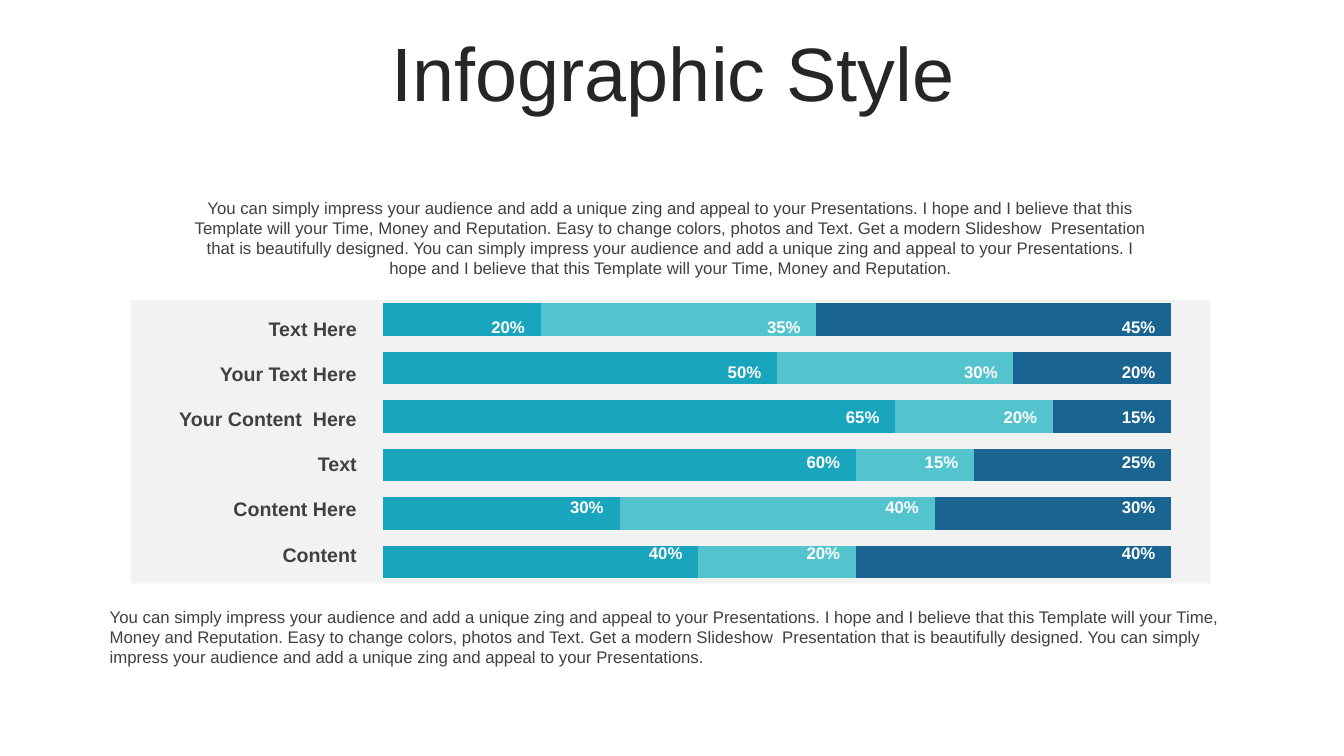
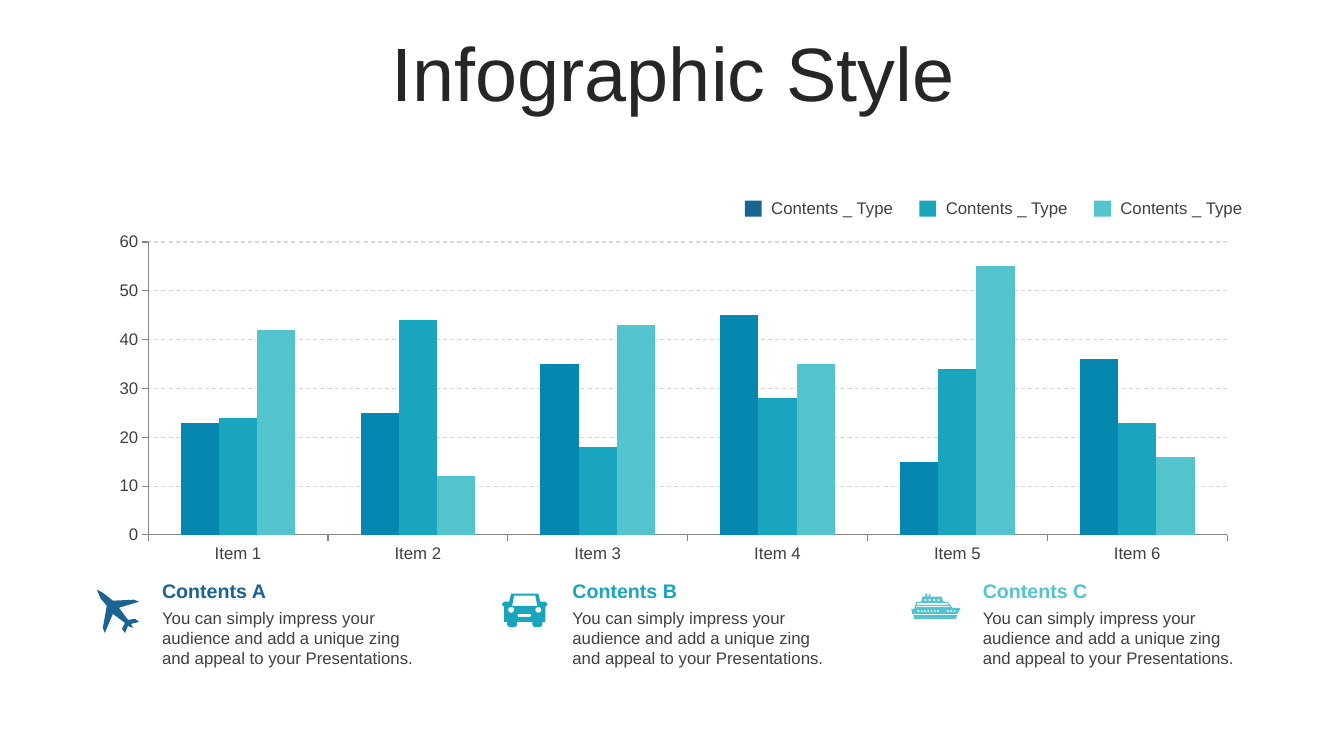
from itertools import accumulate
from math import cos, pi, sin

from lxml.etree import SubElement
from pptx import Presentation
from pptx.chart.data import CategoryChartData
from pptx.dml.color import RGBColor
from pptx.enum.chart import XL_CHART_TYPE, XL_TICK_MARK
from pptx.enum.dml import MSO_LINE
from pptx.enum.shapes import MSO_SHAPE
from pptx.enum.text import MSO_ANCHOR, MSO_AUTO_SIZE, PP_ALIGN
from pptx.oxml.ns import qn
from pptx.util import Pt

NAVY = RGBColor(0x19, 0x64, 0x91)
BLUE = RGBColor(0x05, 0x87, 0xAF)
TEAL = RGBColor(0x19, 0xA5, 0xBE)
AQUA = RGBColor(0x53, 0xC3, 0xCD)
INK = RGBColor(0x26, 0x26, 0x26)
TEXT = RGBColor(0x40, 0x40, 0x40)
AXIS = RGBColor(0x86, 0x86, 0x86)
GRID = RGBColor(0xD9, 0xD9, 0xD9)
PANEL = RGBColor(0xF2, 0xF2, 0xF2)
WHITE = RGBColor(0xFF, 0xFF, 0xFF)
FONT = "Arial"
ICON_UNIT = 0.72

IMPRESS = ("You can simply impress your audience and add a unique zing "
           "and appeal to your Presentations.")
HOPE = ("I hope and I believe that this Template will your Time, "
        "Money and Reputation.")
PITCH = (f"{IMPRESS} {HOPE} Easy to change colors, photos and Text. Get a modern "
         f"Slideshow  Presentation that is beautifully designed. {IMPRESS}")

SHARE_ROWS = [
    ("Text Here", (20, 35, 45)),
    ("Your Text Here", (50, 30, 20)),
    ("Your Content  Here", (65, 20, 15)),
    ("Text", (60, 15, 25)),
    ("Content Here", (30, 40, 30)),
    ("Content", (40, 20, 40)),
]
ITEM_SERIES = [
    (23, 25, 35, 45, 15, 36),
    (24, 44, 18, 28, 34, 23),
    (42, 12, 43, 35, 55, 16),
]

PLANE = [[(42, 32), (34, 34), (36, 38), (31, 36), (28, 43), (25, 39), (28, 33),
          (16, 24), (8, 43), (6, 38), (10, 16), (4, 9), (0, 0), (6, 3), (16, 11),
          (37, 10), (42, 12), (22, 18), (31, 30), (38, 29)]]
CAR_HALF = [(9, 0), (7, 8), (2, 8), (0, 10), (0, 11), (2, 13), (2, 28), (5, 28),
            (5, 31), (7, 33), (13, 33), (15, 31), (15, 28)]
SHIP_BODY = [(18, 0), (19, 0), (19, 3), (30, 3), (32, 8), (36, 8), (41, 14), (49, 14),
             (46, 20), (1, 20), (0, 15), (3, 15), (5, 8), (10, 8), (11, 3), (14, 3),
             (14, 0), (16, 0), (16, 3), (17, 3)]


def circle(center_x, center_y, radius):
    """Return the points of a round outline."""
    angles = [2 * pi * step / 16 for step in range(16)]
    return [(center_x + radius * cos(a), center_y + radius * sin(a)) for a in angles]


def box(left, top, width, height):
    """Return the corners of a rectangle."""
    return [(left, top), (left + width, top),
            (left + width, top + height), (left, top + height)]


def car():
    """Return the outlines of a car seen from the front."""
    body = CAR_HALF + [(45 - x, y) for x, y in reversed(CAR_HALF)]
    windscreen = [(12, 2), (10, 12), (35, 12), (33, 2)]
    grille = [(16, 20), (15, 21.5), (16, 23), (28, 23), (29, 21.5), (28, 20)]
    return [body, windscreen, grille, circle(9, 16, 3), circle(36, 16, 3)]


def ship():
    """Return the outlines of a cruise ship."""
    hull = [(2, 21), (46, 21), (44, 25), (3, 25)]
    decks = [[(5, 12), (4, 13), (39, 13), (38, 12)], [(6, 9), (5, 11), (37, 11), (36, 9)]]
    cabins = [box(13 + 4.3 * i, 5, 2, 2) for i in range(4)]
    portholes = [box(6.2 + 3.25 * i, 16.5, 1.8, 1.5) for i in (*range(7), 9, 10, 11)]
    return [SHIP_BODY, hull, *decks, *cabins, *portholes]


def paint(shape, color):
    """Give a shape a flat fill without line or shadow."""
    shape.shadow.inherit = False
    shape.fill.solid()
    shape.fill.fore_color.rgb = color
    shape.line.fill.background()


def style_font(font, size, color, bold=False):
    """Set the typeface, size, colour and weight of a font."""
    font.name = FONT
    font.size = Pt(size)
    font.bold = bold
    font.color.rgb = color


def add_title_slide(presentation, title):
    """Add a title-only slide with its centred heading."""
    slide = presentation.slides.add_slide(presentation.slide_layouts[5])
    shape = slide.shapes.title
    shape.left, shape.top, shape.width, shape.height = Pt(25.2), Pt(26.6), Pt(911.5), Pt(56.9)
    frame = shape.text_frame
    frame.text = title
    frame.word_wrap = True
    frame.auto_size = MSO_AUTO_SIZE.NONE
    frame.vertical_anchor = MSO_ANCHOR.MIDDLE
    paragraph = frame.paragraphs[0]
    paragraph.alignment = PP_ALIGN.CENTER
    paragraph.line_spacing = 0.9
    paragraph.space_before = Pt(10)
    style_font(paragraph.runs[0].font, 54, INK)
    return slide


def add_text(slide, text, left, top, width, height, size=12, color=TEXT, bold=False,
             alignment=PP_ALIGN.LEFT, anchor=MSO_ANCHOR.TOP):
    """Add a wrapped text box with one paragraph."""
    shape = slide.shapes.add_textbox(Pt(left), Pt(top), Pt(width), Pt(height))
    frame = shape.text_frame
    frame.text = text
    frame.word_wrap = True
    frame.auto_size = MSO_AUTO_SIZE.SHAPE_TO_FIT_TEXT
    frame.vertical_anchor = anchor
    paragraph = frame.paragraphs[0]
    paragraph.alignment = alignment
    style_font(paragraph.runs[0].font, size, color, bold)


def add_rectangle(slide, left, top, width, height, color):
    """Add a flat rectangle."""
    shape = slide.shapes.add_shape(
        MSO_SHAPE.RECTANGLE, Pt(left), Pt(top), Pt(width), Pt(height))
    paint(shape, color)


def add_icon(slide, contours, left, top, color):
    """Draw outlines as one freeform, inner ones becoming holes."""
    builder = None
    for contour in contours:
        points = [(Pt(left + x * ICON_UNIT), Pt(top + y * ICON_UNIT)) for x, y in contour]
        if builder is None:
            builder = slide.shapes.build_freeform(*points[0])
        else:
            builder.move_to(*points[0])
        builder.add_line_segments(points[1:], close=True)
    paint(builder.convert_to_shape(), color)


def set_plot_area(chart, x, y, w, h):
    """Fix the inner plot area as fractions of the chart."""
    plot_area = chart._chartSpace.chart.plotArea
    for old in plot_area.findall(qn("c:layout")):
        plot_area.remove(old)
    layout = SubElement(plot_area, qn("c:layout"))
    plot_area.insert(0, layout)
    manual = SubElement(layout, qn("c:manualLayout"))
    settings = [("layoutTarget", "inner"), ("xMode", "edge"), ("yMode", "edge"),
                ("x", x), ("y", y), ("w", w), ("h", h)]
    for name, value in settings:
        SubElement(manual, qn(f"c:{name}")).set("val", str(value))


def add_chart(slide, kind, frame, categories, series_values, colors, gap, plot_area):
    """Add a bar or column chart with coloured series."""
    data = CategoryChartData()
    data.categories = categories
    for number, values in enumerate(series_values, 1):
        data.add_series(f"Series {number}", values)
    chart = slide.shapes.add_chart(kind, *map(Pt, frame), data).chart
    chart.has_legend = False
    chart.has_title = False
    style_font(chart.font, 18, TEXT)
    plot = chart.plots[0]
    plot.gap_width = gap
    plot.vary_by_categories = False
    for series, color in zip(plot.series, colors):
        series.format.fill.solid()
        series.format.fill.fore_color.rgb = color
        series.invert_if_negative = False
    set_plot_area(chart, *plot_area)
    return chart


def style_axis(axis):
    """Show an axis with a thin line, outer ticks and small labels."""
    axis.major_tick_mark = XL_TICK_MARK.OUTSIDE
    axis.minor_tick_mark = XL_TICK_MARK.NONE
    axis.format.line.color.rgb = AXIS
    axis.format.line.width = Pt(0.75)
    style_font(axis.tick_labels.font, 12, TEXT)


def build_share_slide(presentation):
    """Build the slide with the stacked percentage bars."""
    slide = add_title_slide(presentation, "Infographic Style")
    add_rectangle(slide, 93.6, 214.4, 771, 202.3, PANEL)
    bottom_up = [shares for _, shares in reversed(SHARE_ROWS)]
    chart = add_chart(slide, XL_CHART_TYPE.BAR_STACKED_100, (262.1, 206.6, 586, 216.7),
                      range(1, 7), list(zip(*bottom_up)), (TEAL, AQUA, NAVY), 50,
                      (0.02, 0.02, 0.96, 0.96))
    chart.plots[0].overlap = 100
    chart.category_axis.visible = False
    chart.value_axis.visible = False
    chart.value_axis.has_major_gridlines = False

    for row, (label, shares) in enumerate(SHARE_ROWS):
        top = 222.5 + 32.25 * row
        add_text(slide, label, 105.8, top, 156.2, 24.2, 14, bold=True,
                 alignment=PP_ALIGN.RIGHT, anchor=MSO_ANCHOR.MIDDLE)
        for share, end in zip(shares, accumulate(shares)):
            add_text(slide, f"{share}%", 227.6 + 5.63 * end, top, 45.4, 21.8,
                     color=WHITE, bold=True, alignment=PP_ALIGN.CENTER)

    add_text(slide, f"{PITCH} {HOPE}", 126.7, 137.5, 704.9, 65.4, alignment=PP_ALIGN.CENTER)
    add_text(slide, PITCH, 71.3, 429.8, 815.8, 50.9)


def build_column_slide(presentation):
    """Build the slide with the clustered columns and three notes."""
    slide = add_title_slide(presentation, "Infographic Style")
    chart = add_chart(slide, XL_CHART_TYPE.COLUMN_CLUSTERED, (69.1, 162, 823.7, 244.8),
                      [f"Item {number}" for number in range(1, 7)], ITEM_SERIES,
                      (BLUE, TEAL, AQUA), 170, (0.0446, 0.0445, 0.9357, 0.855))
    value_axis = chart.value_axis
    style_axis(chart.category_axis)
    style_axis(value_axis)
    value_axis.minimum_scale, value_axis.maximum_scale, value_axis.major_unit = 0, 60, 10
    value_axis.has_major_gridlines = True
    grid_line = value_axis.major_gridlines.format.line
    grid_line.color.rgb = GRID
    grid_line.width = Pt(0.75)
    grid_line.dash_style = MSO_LINE.DASH

    notes = [("A", NAVY, PLANE, 69.1, 421.2), ("B", TEAL, car(), 358.6, 424.1),
             ("C", AQUA, ship(), 650.9, 424.1)]
    for column, (letter, color, icon, icon_left, icon_top) in enumerate(notes):
        left = 108.7 + 293.1 * column
        add_text(slide, f"Contents {letter}", left, 409.7, 198.7, 24.2, 14, color,
                 bold=True, anchor=MSO_ANCHOR.MIDDLE)
        add_text(slide, IMPRESS, left, 430.6, 198.7, 50.9)
        add_icon(slide, icon, icon_left, icon_top, color)

        legend_left = 532.1 + 124.7 * column
        add_rectangle(slide, legend_left, 143.3, 12, 11.5, color)
        add_text(slide, "Contents _ Type", legend_left + 11.7, 137.5, 103, 21.8,
                 anchor=MSO_ANCHOR.MIDDLE)


def main():
    """Create and save the presentation."""
    presentation = Presentation()
    presentation.slide_width = Pt(960)
    presentation.slide_height = Pt(540)
    build_share_slide(presentation)
    build_column_slide(presentation)
    presentation.save("out.pptx")


if __name__ == "__main__":
    main()
